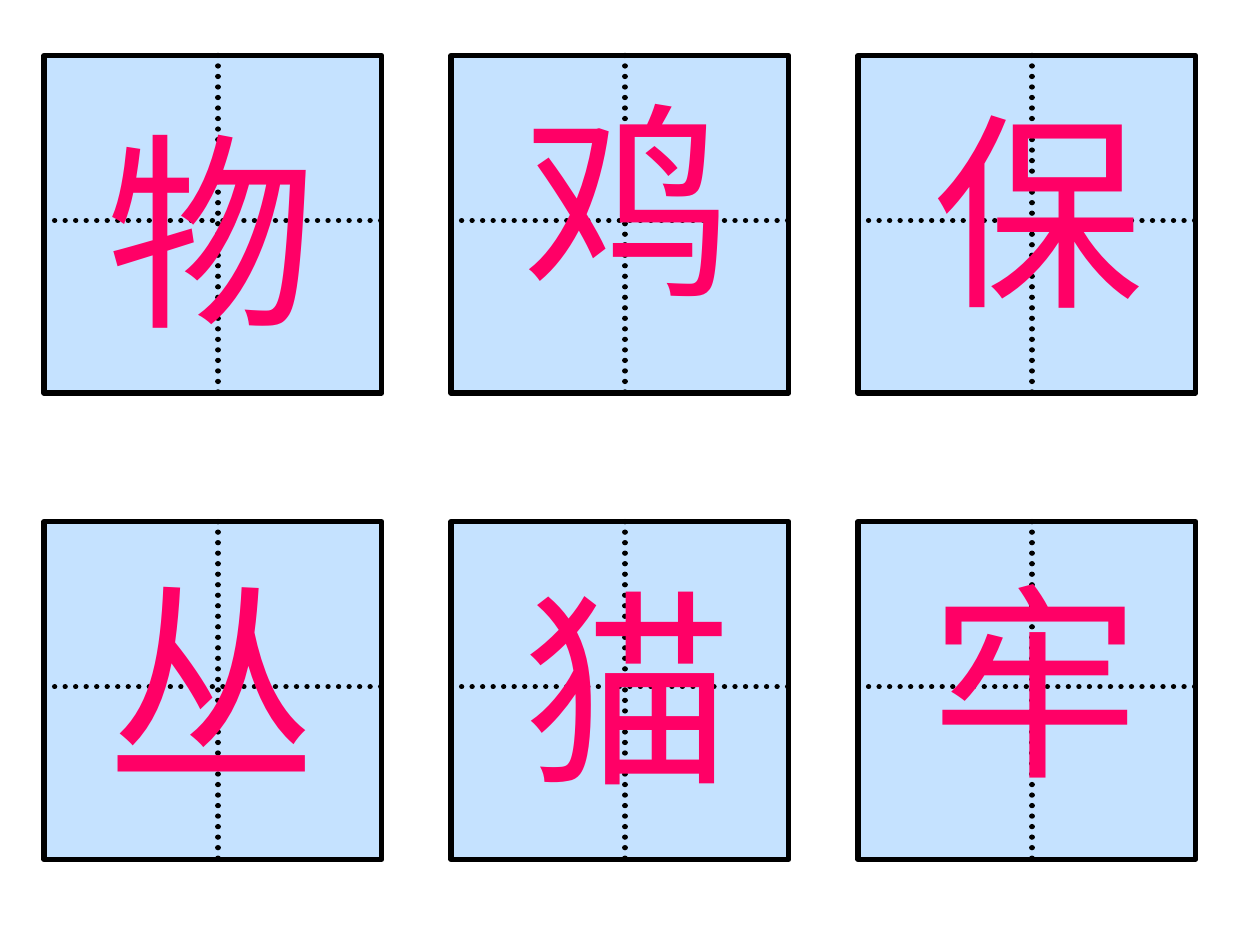
from lxml.etree import SubElement
from pptx import Presentation
from pptx.dml.color import RGBColor
from pptx.enum.dml import MSO_LINE
from pptx.enum.shapes import MSO_CONNECTOR, MSO_SHAPE
from pptx.enum.text import MSO_AUTO_SIZE, PP_ALIGN
from pptx.oxml.ns import qn
from pptx.util import Emu, Pt

SIDE = 268
COLUMNS = (35, 358, 681)
ROWS = (44, 414)
# Each character with the left and top of its text box, row by row.
CHARACTERS = (
    (("物", 75, 76), ("鸡", 406, 52), ("保", 731, 60)),
    (("丛", 75, 433), ("猫", 406, 438), ("牢", 729, 433)),
)


def px(length):
    """Turn px, 100 to the inch, into EMU."""
    return Emu(length * 9144)


def color(value):
    return RGBColor.from_string(value)


def write(frame, text, *, font, size, fill, align):
    para = frame.paragraphs[0]
    para.alignment = align
    span = para.add_run()
    span.text = text
    span.font.name = font
    span.font.size = Pt(size)
    span.font.color.rgb = color(fill)


class PracticeSheet:
    font = "Arial"
    ink = "FF0066"
    paper = "99CCFF"
    opacity = 57
    border = "000000"
    weight = 3

    def __init__(self, slide):
        self.slide = slide

    def square(self, group, left, top):
        shape = group.shapes.add_shape(
            MSO_SHAPE.RECTANGLE, px(left), px(top), px(SIDE), px(SIDE))
        shape.shadow.inherit = False
        shape.fill.solid()
        shape.fill.fore_color.rgb = color(self.paper)
        tint = shape.fill._xPr.find(qn("a:solidFill"))[0]
        SubElement(tint, qn("a:alpha"), val=str(self.opacity * 1000))
        shape.line.color.rgb = color(self.border)
        shape.line.width = Pt(self.weight)

    def guide(self, group, x1, y1, x2, y2):
        """Draw a line of round dots."""
        line = group.shapes.add_connector(
            MSO_CONNECTOR.STRAIGHT, px(x1), px(y1), px(x2), px(y2))
        line.line.color.rgb = color(self.border)
        line.line.width = Pt(self.weight)
        line.line.dash_style = MSO_LINE.ROUND_DOT
        line.line._get_or_add_ln().set("cap", "rnd")
        SubElement(line._element.spPr, qn("a:effectLst"))

    def cell(self, left, top):
        group = self.slide.shapes.add_group_shape()
        middle_x, middle_y = left + 138, top + 131
        self.square(group, left, top)
        self.guide(group, left, middle_y, left + SIDE, middle_y)
        self.guide(group, middle_x, top, middle_x, top + SIDE)

    def character(self, text, left, top):
        box = self.slide.shapes.add_textbox(px(left), px(top), px(186), px(210))
        frame = box.text_frame
        frame.word_wrap = False
        frame.auto_size = MSO_AUTO_SIZE.SHAPE_TO_FIT_TEXT
        write(frame, text, font=self.font, size=120, fill=self.ink,
              align=PP_ALIGN.CENTER)


def main():
    deck = Presentation()
    deck.slide_width, deck.slide_height = px(1000), px(750)
    sheet = PracticeSheet(deck.slides.add_slide(deck.slide_layouts[6]))
    for top, characters in zip(ROWS, CHARACTERS):
        for left, character in zip(COLUMNS, characters):
            sheet.cell(left, top)
            sheet.character(*character)
    deck.save("out.pptx")


if __name__ == "__main__":
    main()
